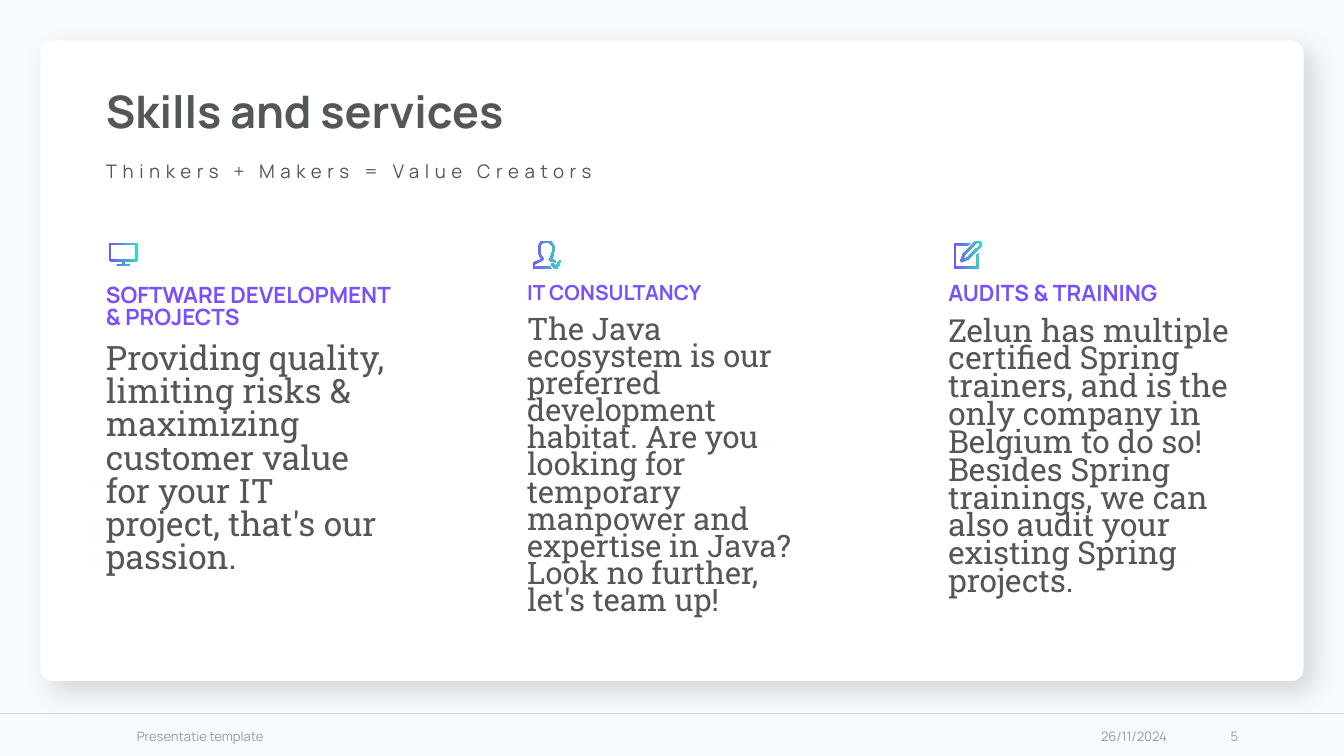
"""Build the "Skills and services" slide."""
from lxml import etree
from pptx import Presentation
from pptx.dml.color import RGBColor
from pptx.enum.shapes import MSO_CONNECTOR, MSO_SHAPE
from pptx.enum.text import MSO_ANCHOR, PP_ALIGN
from pptx.oxml import parse_xml
from pptx.oxml.ns import qn
from pptx.util import Pt

STRAIGHT = MSO_CONNECTOR.STRAIGHT
ROUNDED = MSO_SHAPE.ROUNDED_RECTANGLE
TOP, MIDDLE = MSO_ANCHOR.TOP, MSO_ANCHOR.MIDDLE
LEFT, RIGHT = PP_ALIGN.LEFT, PP_ALIGN.RIGHT
SANS, SLAB = "Manrope", "Roboto Slab"
DARK, GREY, WHITE = "535757", "999A9A", "FFFFFF"
PURPLE, TEAL = "7A4FFF", "2CE1C1"

SHADOW = """<a:effectLst
 xmlns:a="http://schemas.openxmlformats.org/drawingml/2006/main">
<a:outerShdw blurRad="190500" dist="101600" dir="2700000" algn="tl" rotWithShape="0">
<a:srgbClr val="000000"><a:alpha val="15000"/></a:srgbClr>
</a:outerShdw></a:effectLst>"""

SCREEN = [
    [(8, 0), (147, 0), (155, 8), (155, 92), (147, 100), (84, 100), (84, 115),
     (108, 115), (112, 120), (108, 125), (48, 125), (43, 120), (48, 115),
     (73, 115), (73, 100), (8, 100), (0, 92), (0, 8)],
    [(11, 11), (11, 90), (144, 90), (144, 11)],
]
PERSON = [
    [(144, 108), (151, 108), (154, 115), (130, 150), (122, 151), (101, 130),
     (101, 123), (108, 122), (124, 136)],
    [(72, 0), (101, 7), (115, 29), (115, 58), (112, 79), (101, 101),
     (122, 108), (122, 117), (94, 108), (88, 101), (94, 94), (102, 75),
     (105, 58), (105, 29), (94, 14), (72, 10), (50, 14), (41, 29), (41, 58),
     (45, 76), (57, 94), (58, 101), (50, 108), (14, 126), (10, 131),
     (10, 141), (94, 141), (101, 151), (7, 151), (0, 146), (0, 130),
     (7, 116), (48, 101), (36, 79), (31, 58), (31, 29), (43, 7)],
]
PENCIL = [
    [(7, 14), (88, 14), (78, 24), (11, 24), (11, 140), (122, 140), (122, 80),
     (133, 70), (133, 145), (127, 151), (7, 151), (0, 145), (0, 21)],
    [(130, 0), (144, 3), (151, 18), (145, 34), (82, 98), (45, 115),
     (36, 108), (50, 72), (115, 6)],
    [(130, 9), (122, 11), (60, 78), (51, 100), (72, 92), (138, 27),
     (141, 18), (137, 11)],
]

COLUMNS = [
    (SCREEN, 8.6, 130, 0.82, 12, "SOFTWARE DEVELOPMENT & PROJECTS", 18,
     "Providing quality, limiting risks & maximizing customer value for your "
     "IT project, that's our passion."),
    (PERSON, 10, 128.9, 0.73, 11.1, "IT CONSULTANCY", 16.6,
     "The Java ecosystem is our preferred development habitat. Are you "
     "looking for temporary manpower and expertise in Java? Look no further, "
     "let's team up!"),
    (PENCIL, 10, 128.9, 0.73, 12, "AUDITS & TRAINING", 17,
     "Zelun has multiple certified Spring trainers, and is the only company "
     "in Belgium to do so! Besides Spring trainings, we can also audit your "
     "existing Spring projects."),
]


def color(code):
    return RGBColor.from_string(code)


def write(box, lines, anchor=TOP, align=LEFT, space=1.0):
    frame = slide.shapes.add_textbox(*map(Pt, box)).text_frame
    frame.word_wrap = True
    frame.vertical_anchor = anchor
    for i, (words, size, face, ink, bold) in enumerate(lines):
        para = frame.add_paragraph() if i else frame.paragraphs[0]
        para.alignment = align
        para.line_spacing = space
        para.space_before = Pt(7.5 if i else 0)
        run = para.add_run()
        run.text = words
        run.font.size = Pt(size)
        run.font.name = face
        run.font.bold = bold
        run.font.color.rgb = color(ink)
    return frame


deck = Presentation()
deck.slide_width, deck.slide_height = Pt(720), Pt(405)
slide = deck.slides.add_slide(deck.slide_layouts[6])
slide.background.fill.solid()
slide.background.fill.fore_color.rgb = color("F7FBFE")

rule = slide.shapes.add_connector(STRAIGHT, Pt(0), Pt(382.3), Pt(720), Pt(382.3))
rule.line.color.rgb = color("D0D8DF")
rule.line.width = Pt(0.5)
etree.SubElement(rule._element.spPr, qn("a:effectLst"))

card = slide.shapes.add_shape(ROUNDED, Pt(21.6), Pt(21.6), Pt(676.8), Pt(343.4))
card.adjustments[0] = 0.02
card.fill.solid()
card.fill.fore_color.rgb = color(WHITE)
card.line.fill.background()
card._element.spPr.append(parse_xml(SHADOW))

write((49.7, 21.6, 620.6, 78.5),
      [("Skills and services", 24, SANS, DARK, True)], MIDDLE, space=0.9)
motto = write((49.7, 83.5, 620.6, 15.8),
              [("Thinkers + Makers = Value Creators", 10, SANS, DARK, False)],
              space=0.9)
motto.paragraphs[0].runs[0].font._element.set("spc", "300")

for i, (icon, shift, top, space, small, head, large, body) in enumerate(COLUMNS):
    left = 49.7 + 225.6 * i
    write((left, 149.8, 169.2, 214.6),
          [(head, small, SANS, PURPLE, True), (body, large, SLAB, DARK, False)],
          space=space)
    pen = slide.shapes.build_freeform(*icon[0][0], scale=Pt(0.1))
    for j, loop in enumerate(icon):
        if j:
            pen.move_to(*loop[0])
        pen.add_line_segments(loop[1:], close=True)
    glyph = pen.convert_to_shape(Pt(left + shift), Pt(top))
    glyph.shadow.inherit = False
    glyph.line.fill.background()
    glyph.fill.gradient()
    glyph.fill.gradient_angle = 0
    for stop, code in zip(glyph.fill.gradient_stops, (PURPLE, TEAL)):
        stop.color.rgb = color(code)

for left, width, align, words in (
    (572.4, 59.8, RIGHT, "26/11/2024"),
    (66.2, 226, LEFT, "Presentatie template"),
    (632.2, 38.2, RIGHT, "5"),
):
    write((left, 383.8, width, 21.6), [(words, 7, SANS, GREY, False)], MIDDLE, align)

deck.save("out.pptx")
